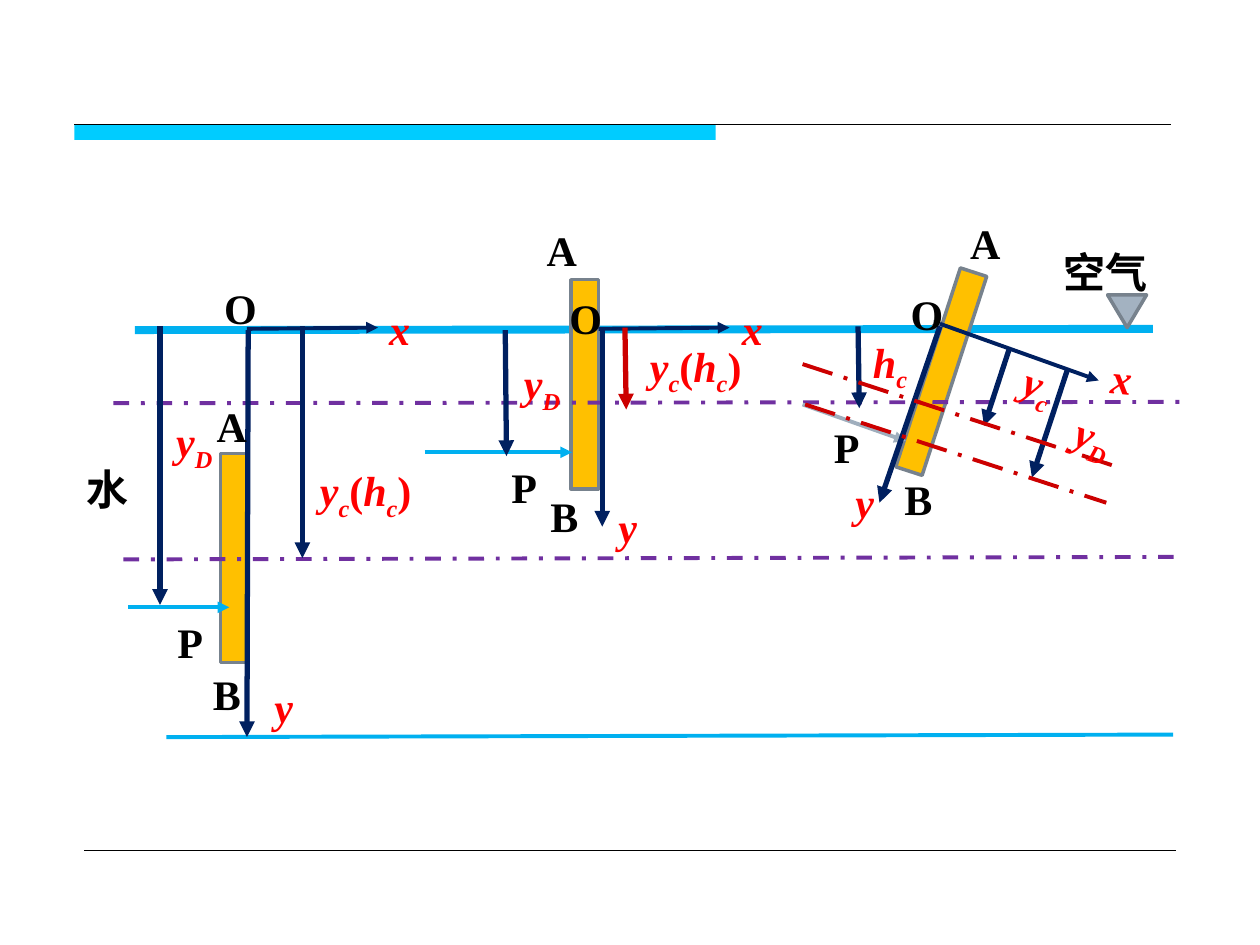
import pptx
import pptx.util
import pptx.dml.color
import pptx.enum.shapes
import pptx.enum.text
import pptx.enum.dml
import pptx.oxml.ns
from lxml import etree

Inches, Pt = pptx.util.Inches, pptx.util.Pt
SHAPE = pptx.enum.shapes.MSO_SHAPE
DASH = pptx.enum.dml.MSO_LINE
NAVY, SKY, RED, GREY = "002060", "00B0F0", "CC0000", "9FAEBD"
ORANGE, EDGE, PURPLE, BLACK = "FFC000", "77828D", "7030A0", "000000"


def rgb(value):
    return pptx.dml.color.RGBColor.from_string(value)


class Diagram:
    size = Pt(24)
    symbol_color = "FF0000"

    def __init__(self, slide):
        self.slide = slide

    def shape(self, kind, x, y, w, h, fill, edge=None, rotation=0):
        sp = self.slide.shapes.add_shape(kind, Inches(x), Inches(y), Inches(w), Inches(h))
        sp.shadow.inherit = False
        sp.rotation = rotation
        sp.fill.solid()
        sp.fill.fore_color.rgb = rgb(fill)
        if edge:
            sp.line.color.rgb = rgb(edge)
            sp.line.width = Pt(2)
        else:
            sp.line.fill.background()

    def line(self, x1, y1, x2, y2, color, width, dash=None, arrow=False):
        ln = self.slide.shapes.add_connector(
            pptx.enum.shapes.MSO_CONNECTOR.STRAIGHT,
            Inches(x1), Inches(y1), Inches(x2), Inches(y2))
        ln.line.color.rgb = rgb(color)
        ln.line.width = Pt(width)
        if dash:
            ln.line.dash_style = dash
        qn = pptx.oxml.ns.qn
        if arrow:
            etree.SubElement(ln.line._get_or_add_ln(), qn("a:tailEnd"), type="triangle")
        etree.SubElement(ln._element.spPr, qn("a:effectLst"))

    def arrow(self, x1, y1, x2, y2, color=NAVY, width=3):
        self.line(x1, y1, x2, y2, color, width, arrow=True)

    def box(self, x, y, w, h, rotation=0):
        tb = self.slide.shapes.add_textbox(Inches(x), Inches(y), Inches(w), Inches(h))
        tb.rotation = rotation
        tf = tb.text_frame
        tf.word_wrap = True
        tf.auto_size = pptx.enum.text.MSO_AUTO_SIZE.SHAPE_TO_FIT_TEXT
        return tf.paragraphs[0]

    def run(self, p, text, color, font="Times New Roman"):
        r = p.add_run()
        r.text = text
        r.font.size = self.size
        r.font.name = font
        r.font.bold = True
        r.font.color.rgb = rgb(color)
        return r

    def label(self, text, x, y, w=0.49, font="Times New Roman"):
        self.run(self.box(x, y, w, 0.5), text, BLACK, font)

    def symbol(self, parts, x, y, w, h=0.5, rotation=0):
        """Each part is a string; a leading underscore marks a subscript."""
        p = self.box(x, y, w, h, rotation)
        for part in parts:
            r = self.run(p, part.lstrip("_"), self.symbol_color)
            r.font.italic = part not in "()"
            if part.startswith("_"):
                r.font._element.set("baseline", "-25000")


prs = pptx.Presentation()
prs.slide_width, prs.slide_height = Inches(10), Inches(7.5)
d = Diagram(prs.slides.add_slide(prs.slide_layouts[6]))

# Header bar and rules
d.shape(SHAPE.RECTANGLE, 0.59, 0.99, 5.09, 0.12, "00CCFF")
d.line(0.59, 0.99, 9.29, 0.99, BLACK, 0.75)
d.line(0.67, 6.75, 9.33, 6.75, BLACK, 0.25)

# Water surface, level mark and plates
d.line(1.07, 2.62, 9.15, 2.61, SKY, 4.5)
d.shape(SHAPE.ISOSCELES_TRIANGLE, 8.79, 2.34, 0.31, 0.26, "A3B2C1", EDGE, 180)
for x, y, rotation in [(4.53, 2.22, 0), (7.36, 2.12, 18), (1.75, 3.6, 0)]:
    d.shape(SHAPE.RECTANGLE, x, y, 0.22, 1.66, ORANGE, EDGE, rotation)

# Bottom and centroid levels
d.line(1.32, 5.85, 9.31, 5.83, SKY, 2.25)
d.line(0.98, 4.44, 9.4, 4.42, PURPLE, 2.25, DASH.DASH_DOT)
d.line(0.9, 3.2, 9.37, 3.19, PURPLE, 2.25, DASH.DASH_DOT)

# Pressure forces
d.arrow(7.4, 2.58, 7.49, 2.58, GREY, 0.75)
d.arrow(6.37, 3.21, 7.19, 3.5, GREY, 2.25)
d.arrow(3.37, 3.59, 4.54, 3.59, SKY, 2.25)
d.arrow(1.02, 4.82, 1.82, 4.82, SKY, 2.25)

# x axes
for ends in [(1.96, 2.61, 3, 2.6), (4.75, 2.61, 5.79, 2.6), (7.46, 2.57, 8.72, 3.02)]:
    d.arrow(*ends, width=2.25)

# y axes and depths
for ends in [
    (1.97, 2.62, 1.96, 5.85), (4.78, 2.62, 4.78, 4.18), (7.46, 2.59, 6.98, 3.99),
    (1.27, 2.59, 1.27, 4.8), (2.4, 2.59, 2.4, 4.43), (4.01, 2.62, 4.02, 3.62),
    (6.81, 2.59, 6.82, 3.24), (8.01, 2.77, 7.81, 3.38), (8.47, 2.94, 8.19, 3.79),
]:
    d.arrow(*ends)
d.arrow(4.96, 2.6, 4.97, 3.25, RED)

# Levels along the inclined plate
d.line(6.37, 2.89, 8.85, 3.7, RED, 2.25, DASH.LONG_DASH_DOT)
d.line(6.39, 3.21, 8.78, 3.99, RED, 2.25, DASH.LONG_DASH_DOT)

# Point and medium labels
d.label("空气", 8.34, 1.91, 0.92, "Arial")
d.label("水", 0.59, 3.63, font="Arial")
for text, places in {
    "A": [(1.62, 3.13), (4.24, 1.73), (7.6, 1.68)],
    "B": [(1.59, 5.26), (4.27, 3.84), (7.08, 3.71)],
    "O": [(1.68, 2.19), (4.42, 2.27), (7.13, 2.24)],
    "P": [(1.31, 4.84), (3.96, 3.61), (6.52, 3.3)],
}.items():
    for x, y in places:
        d.label(text, x, y, {"O": 0.36, "P": 0.46}.get(text, 0.49))

# Axis symbols
d.symbol("x", 2.99, 2.36, 0.35)
d.symbol("x", 5.79, 2.36, 0.35)
d.symbol("x", 8.72, 2.75, 0.35, rotation=5.6)
d.symbol("y", 2.08, 5.35, 0.53, rotation=357.3)
d.symbol("y", 4.81, 3.93, 0.39, rotation=357.3)
d.symbol("y", 6.69, 3.73, 0.43)

# Depth symbols
centroid = ["y", "_c", "(", "h", "_c", ")"]
d.symbol(centroid, 2.44, 3.64, 1.12, 0.96)
d.symbol(centroid, 5.06, 2.65, 0.97, 0.56)
for parts, x, y, rotation in [
    (["y", "_D"], 1.3, 3.25, 0), (["y", "_D"], 4.06, 2.79, 0),
    (["y", "_D"], 8.43, 3.21, 18.6), (["y", "_c"], 8.02, 2.81, 18.6),
    (["h", "_c"], 6.83, 2.62, 0),
]:
    d.symbol(parts, x, y, 0.54, 0.56, rotation)

prs.save("out.pptx")
